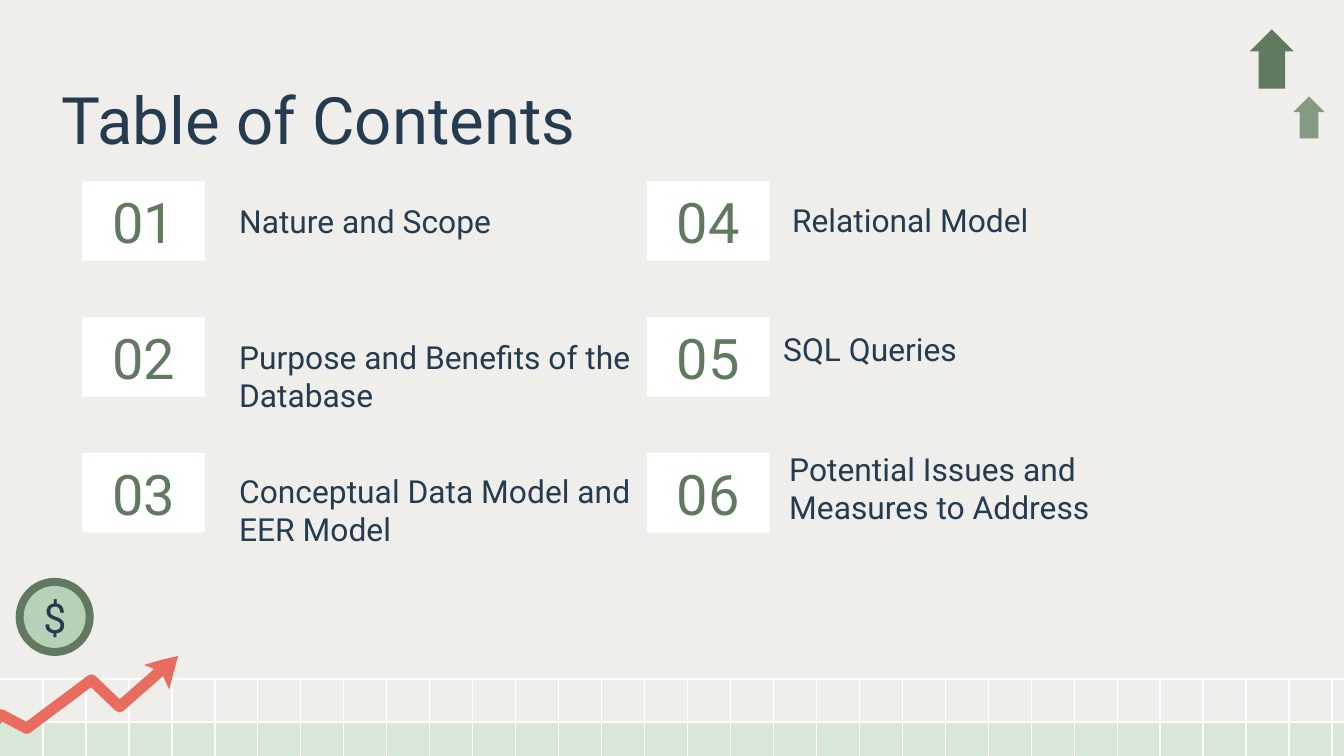
import dataclasses

import pptx
import pptx.dml.color
import pptx.enum.shapes
import pptx.enum.text
import pptx.oxml.ns
import pptx.util
from lxml import etree

Pt = pptx.util.Pt
Shape = pptx.enum.shapes.MSO_SHAPE
Align = pptx.enum.text.PP_ALIGN
Anchor = pptx.enum.text.MSO_ANCHOR

WIDTH, HEIGHT = 720, 405


@dataclasses.dataclass(frozen=True)
class Theme:
    font: str = "Roboto"
    background: str = "EFEEEA"
    ink: str = "243B50"
    green: str = "61795F"
    sage: str = "839B82"
    coin: str = "B9D0B8"
    band: str = "D9E7D8"
    white: str = "FFFFFF"
    coral: str = "E96D5F"
    title_size: float = 35
    number_size: float = 30
    coin_size: float = 22
    entry_size: float = 17


THEME = Theme()


def rgb(color):
    return pptx.dml.color.RGBColor.from_string(color)


def write_text(shape, text, *, size, color=THEME.ink, align=Align.LEFT,
               anchor=Anchor.TOP, inset=7.2):
    frame = shape.text_frame
    frame.word_wrap = True
    frame.auto_size = pptx.enum.text.MSO_AUTO_SIZE.NONE
    frame.vertical_anchor = anchor
    frame.margin_left = frame.margin_right = Pt(inset)
    frame.margin_top = frame.margin_bottom = Pt(inset)
    para = frame.paragraphs[0]
    para.alignment = align
    span = para.add_run()
    span.text = text
    span.font.name = THEME.font
    span.font.size = Pt(size)
    span.font.color.rgb = rgb(color)


class Page:
    def __init__(self, deck, theme):
        self.theme = theme
        self.slide = deck.slides.add_slide(deck.slide_layouts[5])
        self.shapes = self.slide.shapes
        self.slide.background.fill.solid()
        self.slide.background.fill.fore_color.rgb = rgb(theme.background)

    def title(self, text, left, top, width, height):
        box = self.shapes.title
        box.left, box.top, box.width, box.height = map(Pt, (left, top, width, height))
        write_text(box, text, size=self.theme.title_size)

    def text(self, text, left, top, width, height, **style):
        box = self.shapes.add_textbox(*map(Pt, (left, top, width, height)))
        write_text(box, text, **style)

    def shape(self, kind, color, left, top, width, height):
        shape = self.shapes.add_shape(kind, *map(Pt, (left, top, width, height)))
        shape.shadow.inherit = False
        shape.fill.solid()
        shape.fill.fore_color.rgb = rgb(color)
        shape.line.fill.background()
        return shape

    def up_arrow(self, color, left, top, width, height):
        arrow = self.shape(Shape.UP_ARROW, color, left, top, width, height)
        arrow.adjustments[0] = 0.6
        arrow.adjustments[1] = 0.5

    def line(self, x1, y1, x2, y2, color, weight=0.75):
        line = self.shapes.add_connector(
            pptx.enum.shapes.MSO_CONNECTOR.STRAIGHT, *map(Pt, (x1, y1, x2, y2)))
        line.line.color.rgb = rgb(color)
        line.line.width = Pt(weight)
        etree.SubElement(line._element.spPr, pptx.oxml.ns.qn("a:effectLst"))

    def outline(self, points, color, weight=None):
        """Draw an open stroke of the given weight, or a filled polygon without one."""
        start, *rest = [(Pt(x), Pt(y)) for x, y in points]
        builder = self.shapes.build_freeform(*start, scale=1.0)
        builder.add_line_segments(rest, close=weight is None)
        shape = builder.convert_to_shape()
        shape.shadow.inherit = False
        if weight is None:
            shape.fill.solid()
            shape.fill.fore_color.rgb = rgb(color)
            shape.line.fill.background()
        else:
            shape.fill.background()
            shape.line.color.rgb = rgb(color)
            shape.line.width = Pt(weight)


def draw_grid(page):
    band_top, grid_top, step = 386.8, 363.8, 23.02
    page.shape(Shape.RECTANGLE, THEME.band, 0, band_top, WIDTH, HEIGHT - band_top)
    for y in (band_top, grid_top):
        page.line(0, y, WIDTH, y, THEME.white)
    for column in range(1, 32):
        x = column * step
        page.line(x, grid_top, x, HEIGHT, THEME.white)


def draw_decorations(page):
    page.outline([(-33.1, 417.6), (0.7, 383), (14.4, 390.2), (49, 364.3),
                  (64.1, 378.7), (88.6, 357.1)], THEME.coral, weight=6)
    page.outline([(95.5, 351.4), (86.4, 353.5), (77.2, 356.2), (86.4, 360),
                  (90.7, 369.4), (92.9, 360.7)], THEME.coral)
    center_x, center_y = 29.3, 330.5
    for radius, color in ((20.9, THEME.green), (16.6, THEME.coin)):
        page.shape(Shape.OVAL, color, center_x - radius, center_y - radius,
                   2 * radius, 2 * radius)
    page.text("$", 20, 314.6, 18.7, 31.7, size=THEME.coin_size,
              align=Align.CENTER, anchor=Anchor.MIDDLE, inset=0)
    page.up_arrow(THEME.green, 669.6, 15.8, 23.5, 31.7)
    page.up_arrow(THEME.sage, 692.9, 51.7, 16.7, 22.4)


def draw_contents(page):
    entries = [
        ("Nature and Scope", 121, 100.8),
        ("Purpose and Benefits of the Database", 121, 173.5),
        ("Conceptual Data Model and EER Model", 121, 245.5),
        ("Relational Model", 417.2, 100.1),
        ("SQL Queries", 412.5, 169.2),
        ("Potential Issues and Measures to Address", 415.7, 233.6),
    ]
    for index, (text, left, top) in enumerate(entries):
        column, row = divmod(index, 3)
        tile = page.shape(Shape.RECTANGLE, THEME.white,
                          44 + column * 302.6, 97.2 + row * 72.8, 65.8, 42.5)
        write_text(tile, f"{index + 1:02}", size=THEME.number_size,
                   color=THEME.green, align=Align.CENTER, anchor=Anchor.MIDDLE)
        page.text(text, left, top, 236.2, 49, size=THEME.entry_size)


def main():
    deck = pptx.Presentation()
    deck.slide_width, deck.slide_height = Pt(WIDTH), Pt(HEIGHT)
    page = Page(deck, THEME)
    draw_grid(page)
    draw_decorations(page)
    page.title("Table of Contents", 26, 35.3, 638, 45.4)
    draw_contents(page)
    deck.save("out.pptx")


if __name__ == "__main__":
    main()
